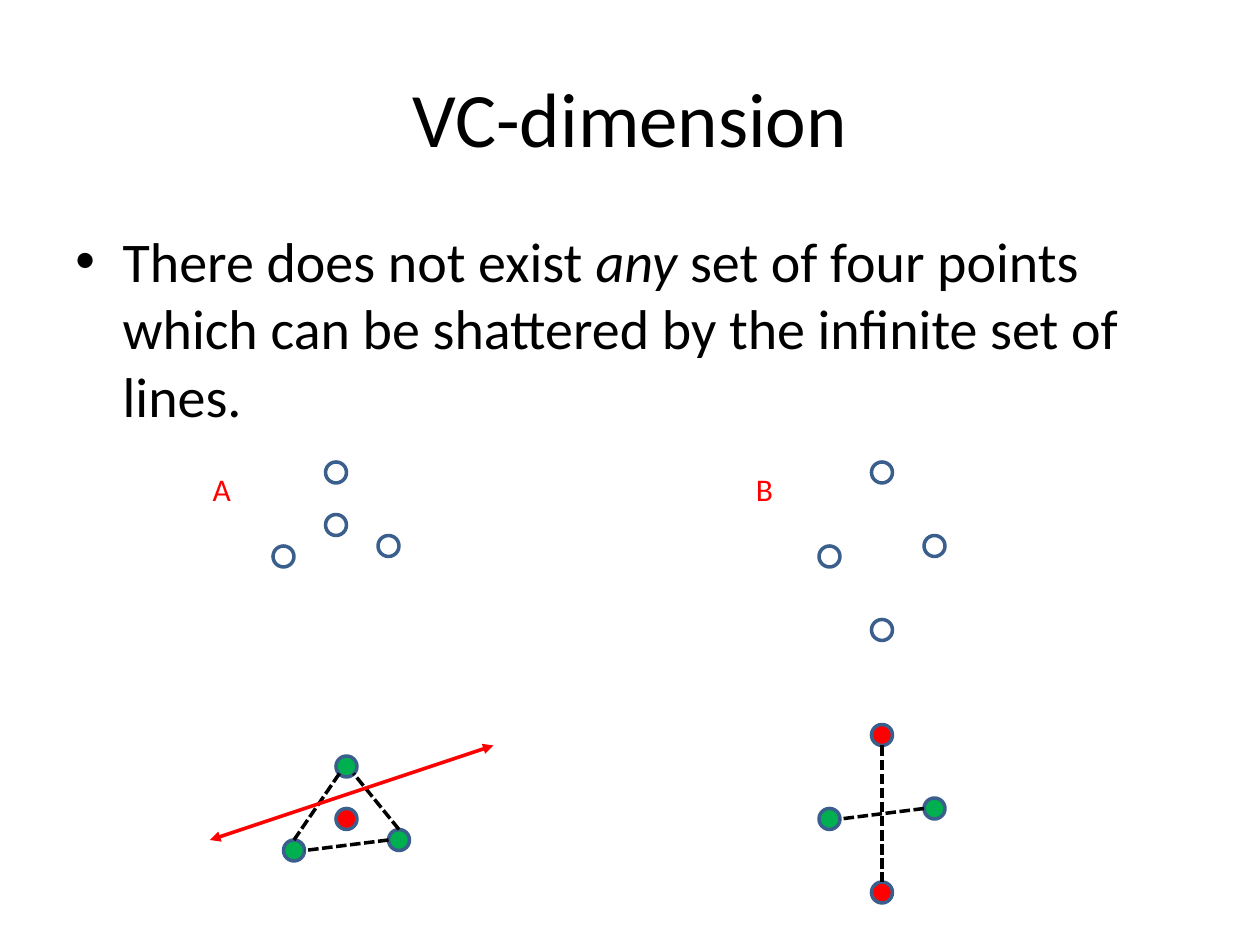
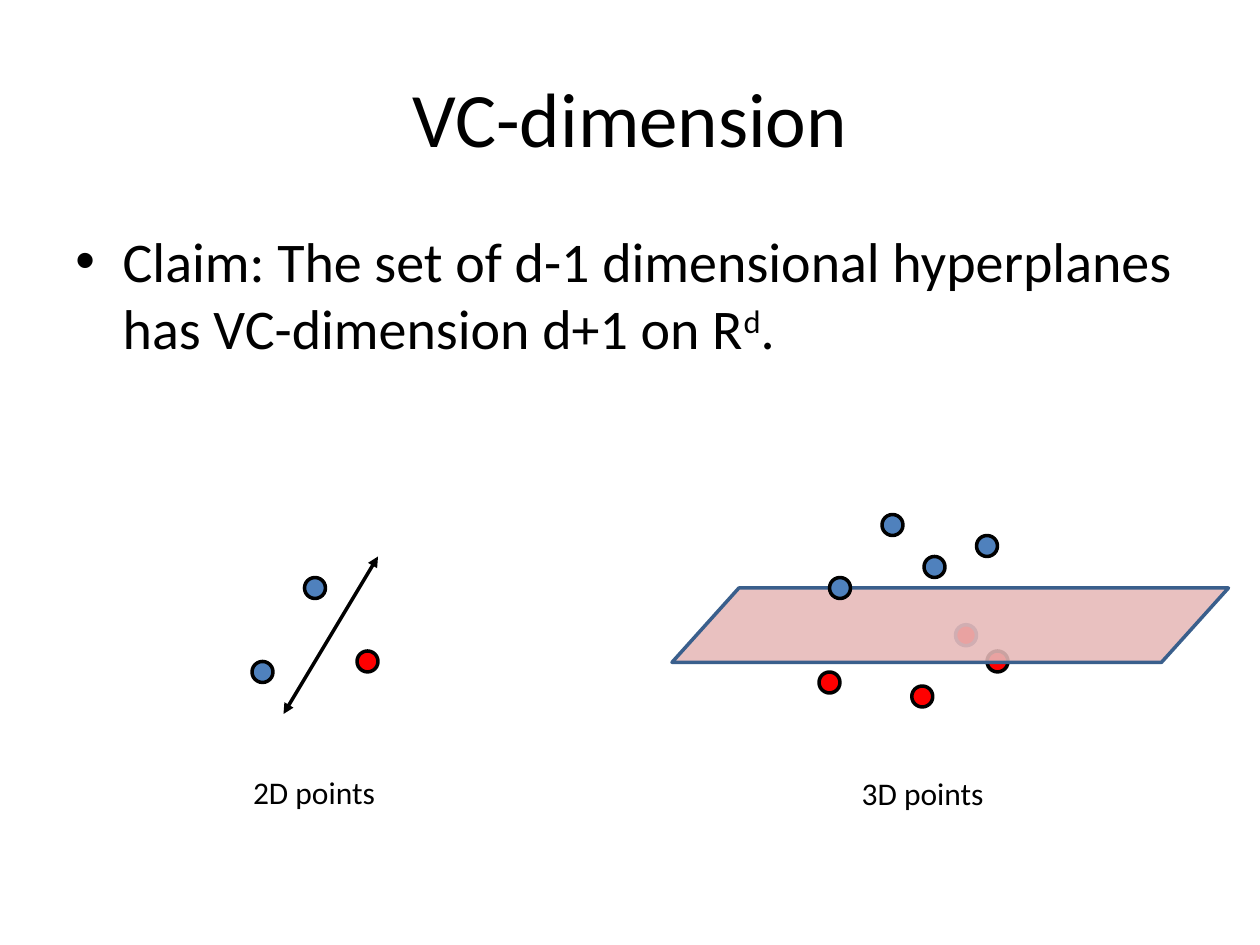
from lxml import etree
from pptx import Presentation
from pptx.dml.color import RGBColor
from pptx.enum.dml import MSO_LINE
from pptx.enum.shapes import MSO_CONNECTOR, MSO_SHAPE
from pptx.enum.text import MSO_ANCHOR, MSO_AUTO_SIZE, PP_ALIGN
from pptx.oxml.ns import qn
from pptx.util import Pt

OVAL, PLANE = MSO_SHAPE.OVAL, MSO_SHAPE.PARALLELOGRAM
STRAIGHT = MSO_CONNECTOR.STRAIGHT
DASH = MSO_LINE.SQUARE_DOT
FONT = "Calibri"
BLACK, RED, GREEN = "000000", "FF0000", "00B050"
BLUE, NAVY, PINK = "4F81BD", "3A5F8C", "E6B9B8"
DOT = 12


def rgb(value):
    return RGBColor.from_string(value)


def add_shape(s, kind, box, fill, line):
    sp = s.shapes.add_shape(kind, *[Pt(v) for v in box])
    sp.shadow.inherit = False
    if fill:
        sp.fill.solid()
        sp.fill.fore_color.rgb = rgb(fill)
    else:
        sp.fill.background()
    sp.line.color.rgb = rgb(line)
    sp.line.width = Pt(2)
    return sp


prs = Presentation()
prs.slide_width, prs.slide_height = Pt(720), Pt(540)

# Title and bullet of each slide; runs are (text, italic, superscript)
bodies = [
    [("There does not exist ", False, False), ("any", True, False),
     (" set of four points which can be shattered by the infinite set of lines.",
      False, False)],
    [("Claim: The set of d-1 dimensional hyperplanes has VC-dimension d+1 on R",
      False, False), ("d", False, True), (".", False, False)],
]
for runs in bodies:
    s = prs.slides.add_slide(prs.slide_layouts[5])
    title = s.shapes.title
    title.left, title.top, title.width, title.height = Pt(36), Pt(21.6), Pt(648), Pt(90)
    tf = title.text_frame
    tf.text = "VC-dimension"
    tf.vertical_anchor = MSO_ANCHOR.MIDDLE
    p = tf.paragraphs[0]
    p.alignment = PP_ALIGN.CENTER
    font = p.runs[0].font
    font.name, font.size, font.color.rgb = FONT, Pt(44), rgb(BLACK)

    tf = s.shapes.add_textbox(Pt(36), Pt(126), Pt(648), Pt(356.4)).text_frame
    tf.word_wrap = True
    p = tf.paragraphs[0]
    pPr = p._p.get_or_add_pPr()
    pPr.set("marL", str(Pt(27)))
    pPr.set("indent", str(-Pt(27)))
    etree.SubElement(pPr, qn("a:buFont")).set("typeface", "Arial")
    etree.SubElement(pPr, qn("a:buChar")).set("char", "•")
    for text, italic, superscript in runs:
        r = p.add_run()
        r.text = text
        r.font.name, r.font.size, r.font.color.rgb = FONT, Pt(32), rgb(BLACK)
        if italic:
            r.font.italic = True
        if superscript:
            r.font._element.set("baseline", "30000")

lines_slide, planes_slide = prs.slides

# Point sets: top point, then left, right and fourth point relative to it
TRIANGLE = [(0, 0), (-30, 48), (30, 42)]
point_sets = [
    (lines_slide, 186, 264, (0, 30), [None] * 4, NAVY),
    (lines_slide, 498, 264, (0, 90), [None] * 4, NAVY),
    (lines_slide, 192, 432, (0, 30), [GREEN, GREEN, GREEN, RED], NAVY),
    (lines_slide, 498, 414, (0, 90), [RED, GREEN, GREEN, RED], NAVY),
    (planes_slide, 174, 330, None, [BLUE, BLUE, RED], BLACK),
]
for s, left, top, fourth, fills, line in point_sets:
    offsets = TRIANGLE + ([fourth] if fourth else [])
    for (dx, dy), fill in zip(offsets, fills):
        add_shape(s, OVAL, (left + dx, top + dy, DOT, DOT), fill, line)

# 3D points: two behind the translucent plane, the rest in front
for x, y, line in [(564, 372, BLACK), (546, 357, NAVY)]:
    add_shape(planes_slide, OVAL, (x, y, DOT, DOT), RED, line)
plane = add_shape(planes_slide, PLANE, (384, 336, 318, 42.5), PINK, NAVY)
plane.adjustments[0] = 0.9
color = plane.fill._xPr.find(qn("a:solidFill"))[0]
etree.SubElement(color, qn("a:alpha")).set("val", "88000")
for x, y, fill in [(504, 294, BLUE), (474, 330, BLUE), (528, 318, BLUE),
                   (558, 306, BLUE), (521, 392, RED), (468, 384, RED)]:
    add_shape(planes_slide, OVAL, (x, y, DOT, DOT), fill, BLACK)

# Dashed joins between points and two-headed separating lines
segments = [
    (lines_slide, (194, 442, 168, 480), BLACK, False),
    (lines_slide, (228, 474, 202, 442), BLACK, False),
    (lines_slide, (222, 480, 174, 486), BLACK, False),
    (lines_slide, (528, 462, 480, 468), BLACK, False),
    (lines_slide, (504, 426, 504, 504), BLACK, False),
    (lines_slide, (282, 426, 120, 480), RED, True),
    (planes_slide, (162, 408, 216, 318), BLACK, True),
]
for s, ends, line, arrows in segments:
    sp = s.shapes.add_connector(STRAIGHT, *[Pt(v) for v in ends])
    sp.line.color.rgb = rgb(line)
    sp.line.width = Pt(2)
    if arrows:
        ln = sp.line._get_or_add_ln()
        for end in ("a:headEnd", "a:tailEnd"):
            etree.SubElement(ln, qn(end)).set("type", "triangle")
    else:
        sp.line.dash_style = DASH
    etree.SubElement(sp._element.spPr, qn("a:effectLst"))

# Labels
labels = [
    (lines_slide, "A", 114.5, 265, 25, RED),
    (lines_slide, "B", 424.8, 265, 25, RED),
    (planes_slide, "2D points", 137.5, 438, 85, BLACK),
    (planes_slide, "3D points", 485.3, 439, 85, BLACK),
]
for s, text, left, top, width, color in labels:
    tf = s.shapes.add_textbox(Pt(left), Pt(top), Pt(width), Pt(29)).text_frame
    tf.word_wrap = False
    tf.auto_size = MSO_AUTO_SIZE.SHAPE_TO_FIT_TEXT
    tf.text = text
    font = tf.paragraphs[0].runs[0].font
    font.name, font.size, font.color.rgb = FONT, Pt(18), rgb(color)

prs.save("out.pptx")
